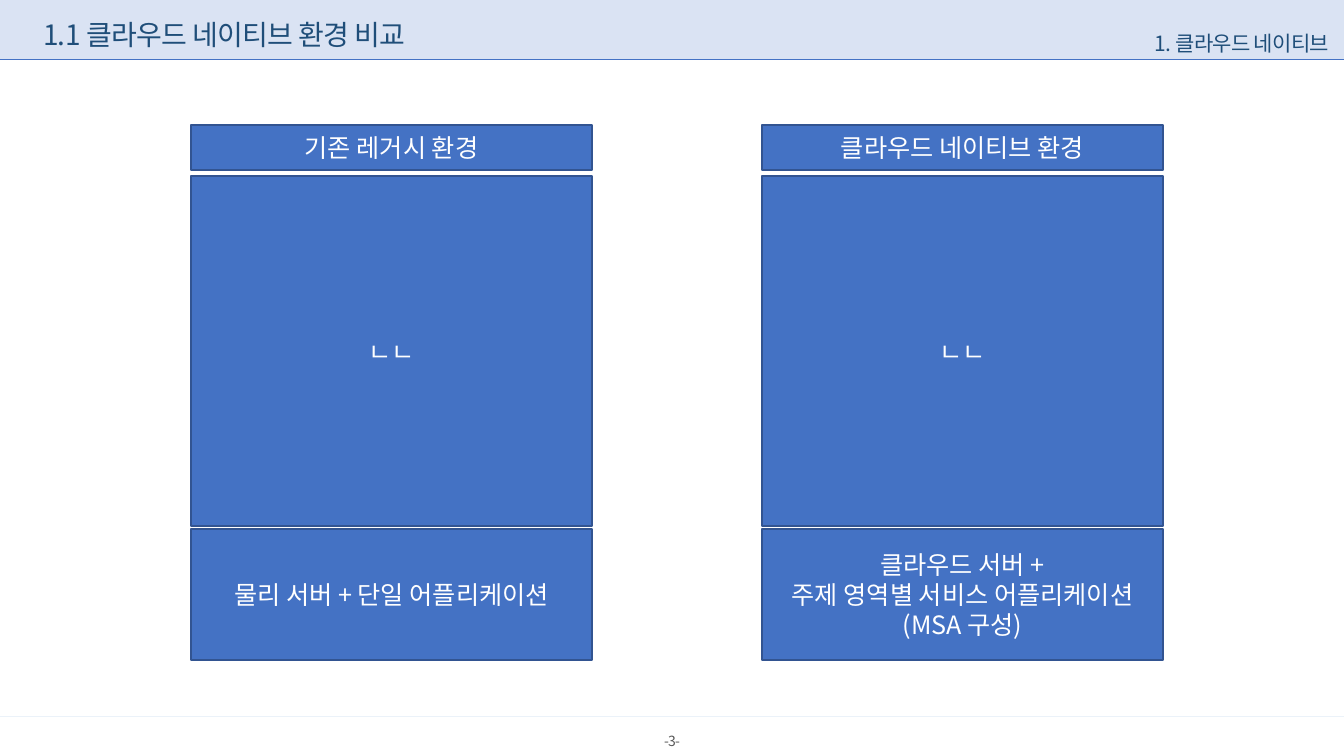
from dataclasses import dataclass

from lxml.etree import SubElement
from pptx import Presentation
from pptx.dml.color import RGBColor
from pptx.enum.shapes import MSO_CONNECTOR, MSO_SHAPE
from pptx.enum.text import MSO_ANCHOR, MSO_AUTO_SIZE, PP_ALIGN
from pptx.oxml.ns import qn
from pptx.util import Pt

PX = 914400 / 100.8
WIDTH, HEIGHT = 1344, 756


@dataclass(frozen=True)
class Theme:
    font: str = "Noto Sans CJK KR"
    band: str = "DAE3F3"
    heading: str = "1F4E79"
    page: str = "595959"
    panel: str = "4472C4"
    border: str = "325491"
    footer_rule: str = "EBF2F9"
    white: str = "FFFFFF"
    title_size: int = 20
    section_size: int = 15
    panel_size: int = 18
    page_size: int = 10


THEME = Theme()


def emu(*lengths):
    return [round(length * PX) for length in lengths]


def color(value):
    return RGBColor.from_string(value)


def set_all(target, values):
    for name, value in values.items():
        setattr(target, name, value)


def write(shape, lines, size, ink, align, spacing=1.0, tracking=0):
    frame = shape.text_frame
    set_all(frame, {
        "word_wrap": True,
        "auto_size": MSO_AUTO_SIZE.NONE,
        "vertical_anchor": MSO_ANCHOR.MIDDLE,
    })
    frame.text = "\n".join(lines)
    for para in frame.paragraphs:
        set_all(para, {"alignment": align, "line_spacing": spacing})
        for span in para.runs:
            set_all(span.font, {"name": THEME.font, "size": Pt(size)})
            span.font.color.rgb = color(ink)
            properties = span._r.get_or_add_rPr()
            SubElement(properties, qn("a:ea"), typeface=THEME.font)
            if tracking:
                properties.set("spc", str(tracking))


def add_rect(page, place, fill, border=None):
    box = page.shapes.add_shape(MSO_SHAPE.RECTANGLE, *emu(*place))
    box.shadow.inherit = False
    box.fill.solid()
    box.fill.fore_color.rgb = color(fill)
    if border:
        box.line.color.rgb = color(border)
        box.line.width = Pt(1)
    else:
        box.line.fill.background()
    return box


def add_rule(page, top, ink):
    rule = page.shapes.add_connector(MSO_CONNECTOR.STRAIGHT, *emu(0, top, WIDTH, top))
    rule.line.color.rgb = color(ink)
    rule.line.width = Pt(0.5)
    SubElement(rule._element.spPr, qn("a:effectLst"))


def add_label(page, place, text, size, ink, align):
    box = page.shapes.add_textbox(*emu(*place))
    write(box, [text], size, ink, align, 0.9, -50)


def add_title(page, place, text):
    title = page.shapes.title
    set_all(title, dict(zip(("left", "top", "width", "height"), emu(*place))))
    write(title, [text], THEME.title_size, THEME.heading, PP_ALIGN.LEFT, 0.9, -50)
    page.shapes._spTree.append(title._element)


def add_column(page, left, contents):
    rows = ((125, 45), (176, 350), (529, 131))
    for (top, height), lines in zip(rows, contents):
        box = add_rect(page, (left, top, 401, height), THEME.panel, THEME.border)
        write(box, lines, THEME.panel_size, THEME.white, PP_ALIGN.CENTER)


def main():
    deck = Presentation()
    deck.slide_width, deck.slide_height = emu(WIDTH, HEIGHT)
    page = deck.slides.add_slide(deck.slide_layouts[5])

    add_rect(page, (0, 0, WIDTH, 59), THEME.band)
    add_rule(page, 716, THEME.footer_rule)
    add_rule(page, 59, THEME.panel)
    add_title(page, (33, 15, 406, 43), "1.1 클라우드 네이티브 환경 비교")
    add_label(page, (963, 30, 376, 30), "1. 클라우드 네이티브",
              THEME.section_size, THEME.heading, PP_ALIGN.RIGHT)
    add_label(page, (629, 730, 86, 24), "-3-",
              THEME.page_size, THEME.page, PP_ALIGN.CENTER)

    add_column(page, 191, (
        ["기존 레거시 환경"],
        ["ㄴㄴ"],
        ["물리 서버 + 단일 어플리케이션"],
    ))
    add_column(page, 762, (
        ["클라우드 네이티브 환경"],
        ["ㄴㄴ"],
        ["클라우드 서버 +", "주제 영역별 서비스 어플리케이션(MSA 구성)"],
    ))
    deck.save("out.pptx")


if __name__ == "__main__":
    main()
